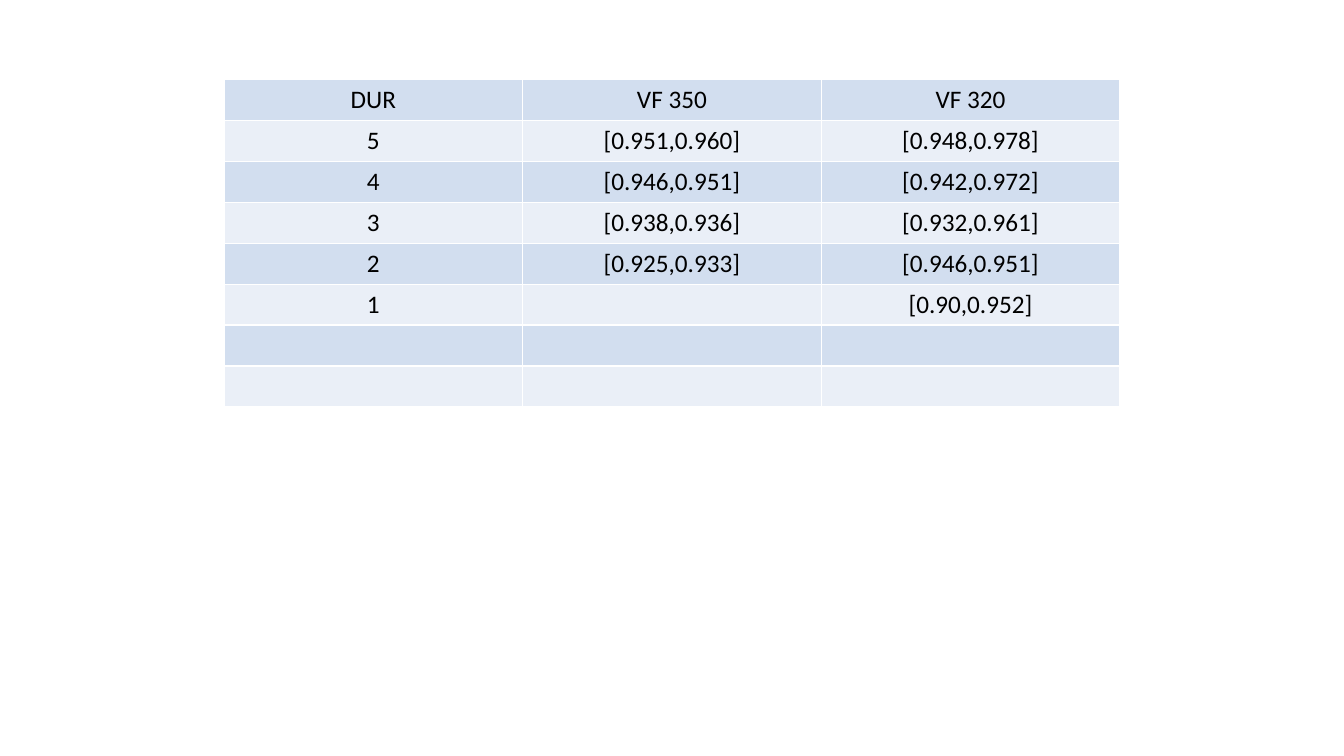
import lxml.etree
import pptx
import pptx.dml.color
import pptx.enum.text
import pptx.oxml.ns
import pptx.util

Pt = pptx.util.Pt
RGB = pptx.dml.color.RGBColor
BLACK = RGB(0x00, 0x00, 0x00)
WHITE = RGB(0xFF, 0xFF, 0xFF)
BANDS = (RGB(0xD2, 0xDE, 0xEF), RGB(0xEA, 0xEF, 0xF7))

ROWS = [
    ("DUR", "VF 350", "VF 320"),
    ("5", "[0.951,0.960]", "[0.948,0.978]"),
    ("4", "[0.946,0.951]", "[0.942,0.972]"),
    ("3", "[0.938,0.936]", "[0.932,0.961]"),
    ("2", "[0.925,0.933]", "[0.946,0.951]"),
    ("1", "", "[0.90,0.952]"),
    ("", "", ""),
    ("", "", ""),
]


def add_edges(cell):
    """Draw a thin white line on all four sides of the cell."""
    props = cell._tc.get_or_add_tcPr()
    qn = pptx.oxml.ns.qn
    for side in ("a:lnL", "a:lnR", "a:lnT", "a:lnB"):
        line = lxml.etree.SubElement(props, qn(side), w=str(Pt(1)))
        fill = lxml.etree.SubElement(line, qn("a:solidFill"))
        lxml.etree.SubElement(fill, qn("a:srgbClr"), val=str(WHITE))


def fill_cell(cell, text, color):
    add_edges(cell)
    cell.fill.solid()
    cell.fill.fore_color.rgb = color
    cell.vertical_anchor = pptx.enum.text.MSO_ANCHOR.MIDDLE
    cell.text = text
    para = cell.text_frame.paragraphs[0]
    para.alignment = pptx.enum.text.PP_ALIGN.CENTER
    para.font.name = "Calibri"
    para.font.size = Pt(18)
    para.font.color.rgb = BLACK


def add_grid(slide, left, top, width, height):
    frame = slide.shapes.add_table(
        len(ROWS), len(ROWS[0]), Pt(left), Pt(top), Pt(width), Pt(height))
    table = frame.table
    table.first_row = False
    table.horz_banding = False
    for row in table.rows:
        row.height = Pt(height / len(ROWS))
    for r, texts in enumerate(ROWS):
        for c, text in enumerate(texts):
            fill_cell(table.cell(r, c), text, BANDS[r % 2])


def main():
    deck = pptx.Presentation()
    deck.slide_width, deck.slide_height = Pt(960), Pt(540)
    slide = deck.slides.add_slide(deck.slide_layouts[6])
    add_grid(slide, 160, 57, 640, 233.6)
    deck.save("out.pptx")


if __name__ == "__main__":
    main()
